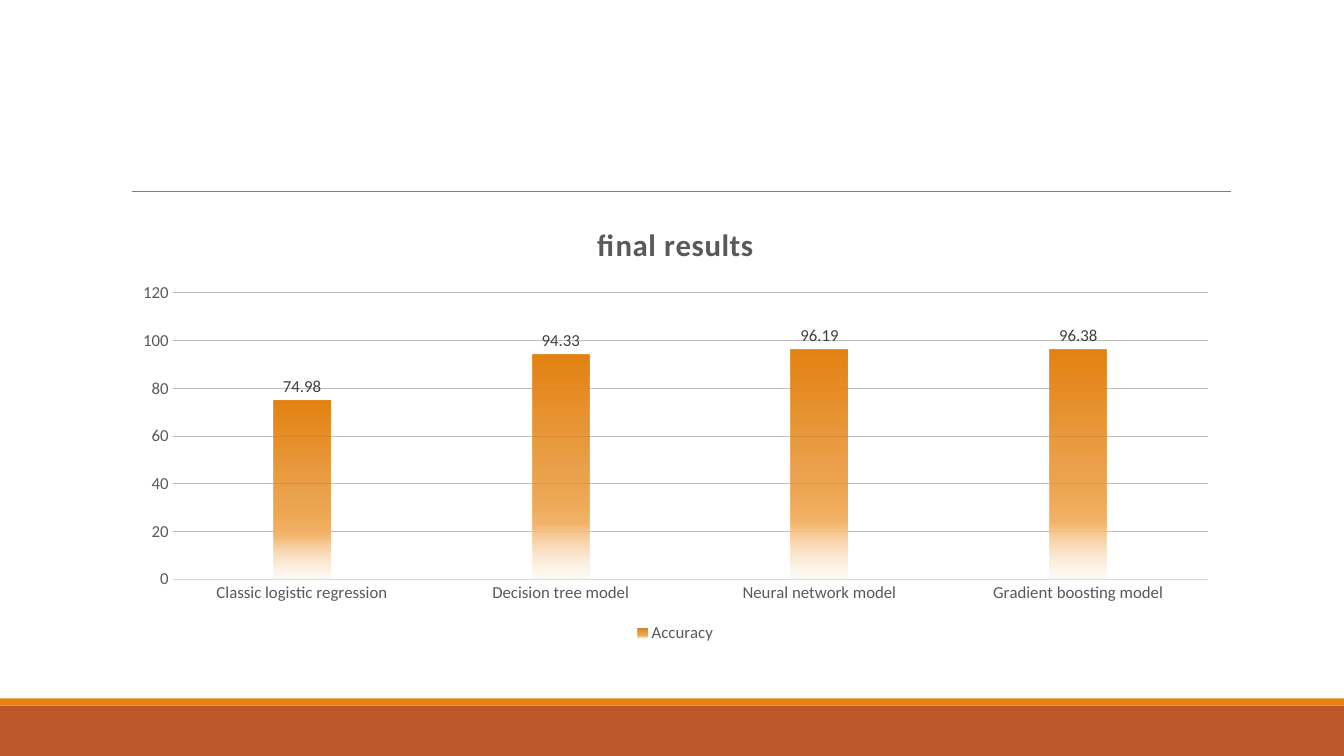
from dataclasses import dataclass

from lxml import etree
from pptx import Presentation
from pptx.chart.data import CategoryChartData
from pptx.dml.color import RGBColor
from pptx.enum.chart import XL_CHART_TYPE, XL_LABEL_POSITION, XL_LEGEND_POSITION, XL_TICK_MARK
from pptx.enum.shapes import MSO_CONNECTOR, MSO_SHAPE
from pptx.oxml.ns import qn
from pptx.util import Cm, Pt

COLUMN_CLUSTERED = XL_CHART_TYPE.COLUMN_CLUSTERED
OUTSIDE_END = XL_LABEL_POSITION.OUTSIDE_END
LEGEND_BOTTOM = XL_LEGEND_POSITION.BOTTOM
NO_TICK = XL_TICK_MARK.NONE
STRAIGHT = MSO_CONNECTOR.STRAIGHT
RECTANGLE = MSO_SHAPE.RECTANGLE

FONT_NAME = "Calibri"
SLIDE_WIDTH, SLIDE_HEIGHT = 33.87, 19.05
COLORS = {
    "rust": "BD582C",
    "orange": "E48312",
    "rule": "808080",
    "text": "595959",
    "label": "404040",
    "axis": "D9D9D9",
    "grid": "BFBFBF",
    "light_orange": "F3B56C",
    "cream": "FBE6CE",
}
ACCURACIES = {
    "Classic logistic regression": 74.98,
    "Decision tree model": 94.33,
    "Neural network model": 96.19,
    "Gradient boosting model": 96.38,
}


@dataclass
class Band:
    top: float
    height: float
    color: str


@dataclass
class GradientStop:
    position: int
    color: str
    opacity: int = 100


FOOTER_BANDS = [Band(17.78, 1.27, "rust"), Band(17.6, 0.18, "orange")]
COLUMN_STOPS = [
    GradientStop(0, "orange"),
    GradientStop(51, "orange", 75),
    GradientStop(75, "light_orange"),
    GradientStop(100, "cream", 15),
]


def rgb(name: str) -> RGBColor:
    return RGBColor.from_string(COLORS[name])


def style_font(font, size: float, color: str, bold: bool = False) -> None:
    font.name = FONT_NAME
    font.size = Pt(size)
    font.bold = bold
    font.color.rgb = rgb(color)


def style_line(line, color: str, width: float) -> None:
    line.color.rgb = rgb(color)
    line.width = Pt(width)


def add_band(slide, band: Band) -> None:
    shape = slide.shapes.add_shape(
        RECTANGLE, Cm(0), Cm(band.top), Cm(SLIDE_WIDTH), Cm(band.height))
    shape.shadow.inherit = False
    shape.fill.solid()
    shape.fill.fore_color.rgb = rgb(band.color)
    shape.line.fill.background()


def add_rule(slide) -> None:
    connector = slide.shapes.add_connector(
        STRAIGHT, Cm(3.33), Cm(4.83), Cm(31.01), Cm(4.83))
    style_line(connector.line, "rule", 0.5)
    etree.SubElement(connector._element.spPr, qn("a:effectLst"))


def fill_columns(series, stops: list[GradientStop]) -> None:
    fill = series.format.fill
    fill.gradient()
    fill.gradient_angle = 270
    stop_list = series._element.find(".//" + qn("a:gsLst"))
    for default_stop in list(stop_list):
        stop_list.remove(default_stop)
    for stop in stops:
        stop_element = etree.SubElement(stop_list, qn("a:gs"), pos=str(stop.position * 1000))
        color = etree.SubElement(stop_element, qn("a:srgbClr"), val=COLORS[stop.color])
        if stop.opacity < 100:
            etree.SubElement(color, qn("a:alpha"), val=str(stop.opacity * 1000))


def style_axes(chart) -> None:
    for axis in (chart.category_axis, chart.value_axis):
        axis.major_tick_mark = NO_TICK
        axis.minor_tick_mark = NO_TICK
        style_font(axis.tick_labels.font, 12, "text")
    style_line(chart.category_axis.format.line, "axis", 0.75)
    value_axis = chart.value_axis
    value_axis.minimum_scale, value_axis.maximum_scale = 0, 120
    value_axis.major_unit = 20
    value_axis.format.line.fill.background()
    style_line(value_axis.major_gridlines.format.line, "grid", 0.75)


def add_accuracy_chart(slide) -> None:
    data = CategoryChartData()
    data.categories = list(ACCURACIES)
    data.add_series("Accuracy", list(ACCURACIES.values()))
    chart = slide.shapes.add_chart(
        COLUMN_CLUSTERED, Cm(3.05), Cm(5.13), Cm(27.94), Cm(11.18), data).chart
    style_font(chart.font, 10, "text")

    # Title
    paragraph = chart.chart_title.text_frame.paragraphs[0]
    run = paragraph.add_run()
    run.text = "final results"
    style_font(paragraph.font, 22, "text", bold=True)
    run._r.get_or_add_rPr().set("spc", "50")
    chart.chart_title.include_in_layout = False

    # Legend and axes
    chart.has_legend = True
    chart.legend.position = LEGEND_BOTTOM
    chart.legend.include_in_layout = False
    style_font(chart.legend.font, 12, "text")
    style_axes(chart)

    # Columns and their values
    plot = chart.plots[0]
    plot.gap_width = 355
    plot.overlap = -70
    plot.vary_by_categories = False
    series = plot.series[0]
    series.invert_if_negative = False
    fill_columns(series, COLUMN_STOPS)
    labels = series.data_labels
    labels.show_value = True
    labels.position = OUTSIDE_END
    style_font(labels.font, 12, "label")


def main() -> None:
    presentation = Presentation()
    presentation.slide_width = Cm(SLIDE_WIDTH)
    presentation.slide_height = Cm(SLIDE_HEIGHT)
    slide = presentation.slides.add_slide(presentation.slide_layouts[6])

    # Footer bands and heading rule
    for band in FOOTER_BANDS:
        add_band(slide, band)
    add_rule(slide)

    # Results
    add_accuracy_chart(slide)
    presentation.save("out.pptx")


if __name__ == "__main__":
    main()
